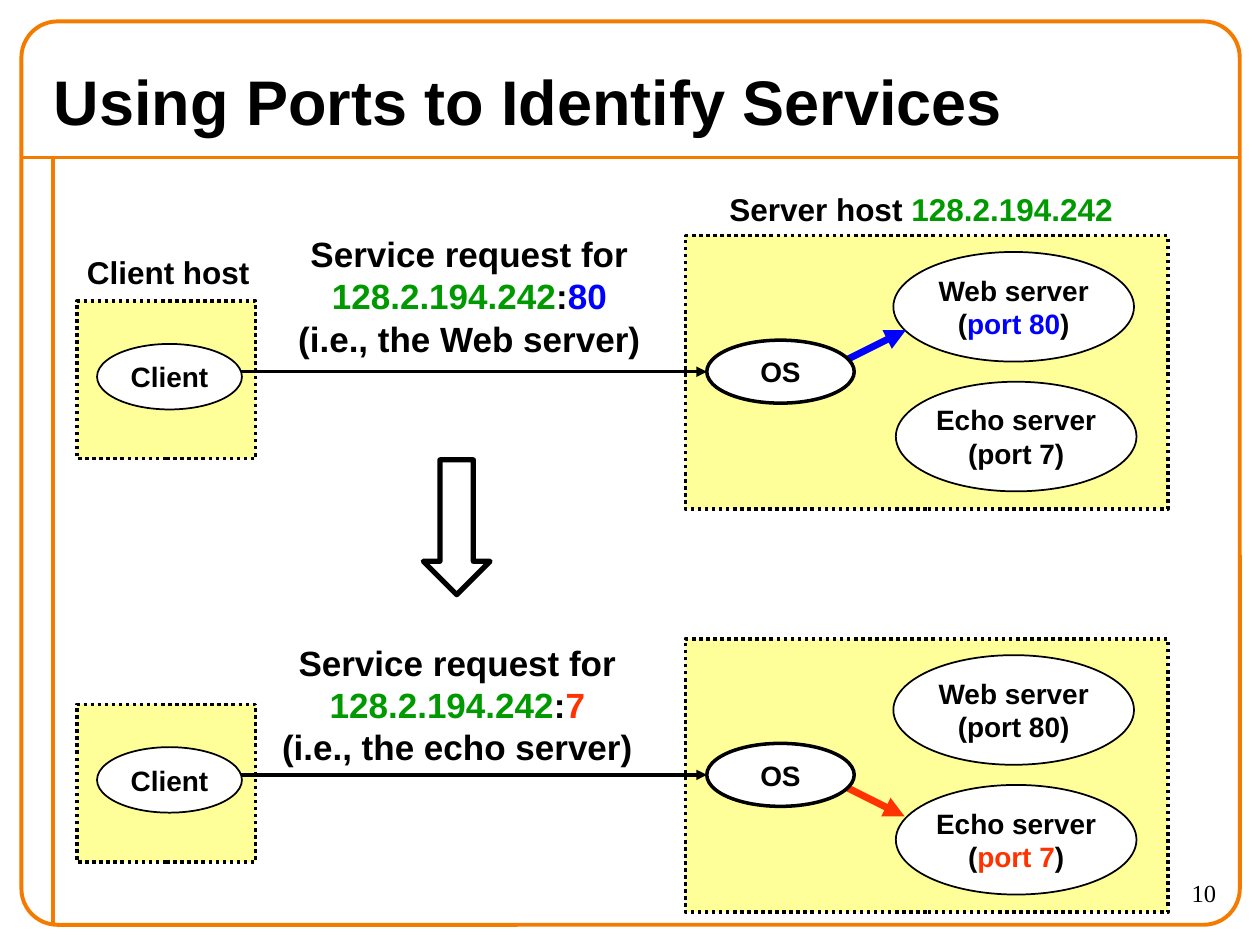
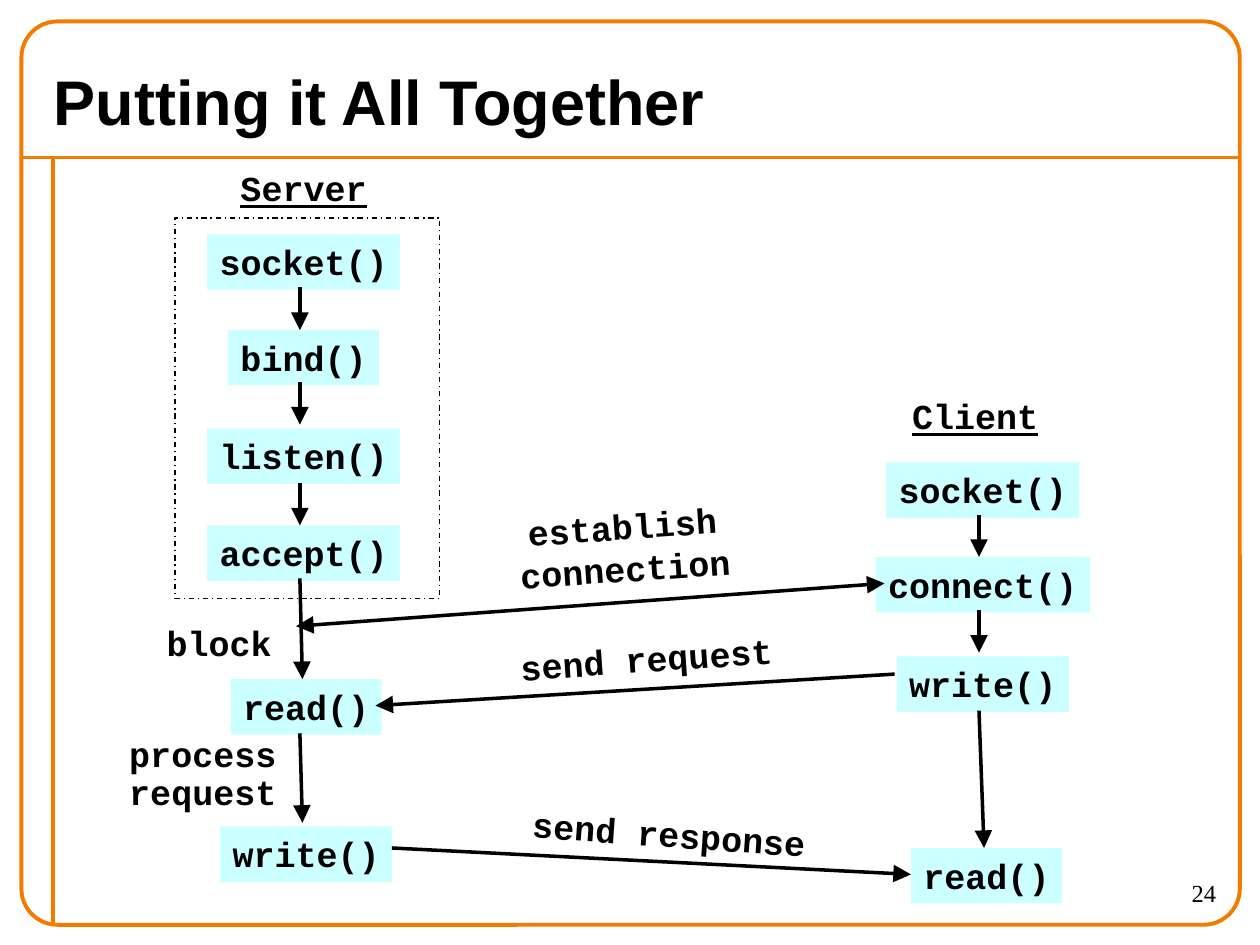
import pptx
import pptx.util
import pptx.dml.color
import pptx.enum.dml
import pptx.enum.shapes
import pptx.enum.text
import pptx.oxml.ns
from lxml import etree

Inches = pptx.util.Inches
SHAPES = pptx.enum.shapes.MSO_SHAPE
DASHES = pptx.enum.dml.MSO_LINE
ALIGN = pptx.enum.text.PP_ALIGN
ANCHOR = pptx.enum.text.MSO_ANCHOR

# Shared look
BLACK, WHITE, ORANGE = "000000", "FFFFFF", "F47A00"
GREEN, BLUE, RED = "009900", "0000FF", "FF3300"
HOST_FILL, CALL_FILL = "FFFF99", "CCFFFF"
TITLE = {"name": "Arial", "size": 36, "bold": True}
NUMBER = {"name": "Times New Roman", "size": 14}
HOST_LABEL = {"name": "Arial", "size": 18, "bold": True}
REQUEST = {"name": "Arial", "size": 20, "bold": True}
PROCESS = {"name": "Arial", "size": 16, "bold": True}
CODE = {"name": "Courier New", "size": 20, "bold": True}
HEADING = {**CODE, "underline": True}

# Slide 1: two requests, the second one a fixed step lower.
# Text is a list of paragraphs; a paragraph is a string or (text, colour) runs.
ADDRESS = "128.2.194.242"
SCENARIO_STEP = 3.2
SCENARIOS = [
    {
        "request": ["Service request for",
                    [(ADDRESS, GREEN), (":", BLACK), ("80", BLUE)],
                    "(i.e., the Web server)"],
        "request_at": (2.12, 1.8, 3.21, 1.1),
        "web": ["Web server", [("(", BLACK), ("port 80", BLUE), (")", BLACK)]],
        "echo": ["Echo server", "(port 7)"],
        "dispatch": ((6.69, 2.87), (7.19, 2.62), BLUE),
    },
    {
        "request": ["Service request for",
                    [(ADDRESS, GREEN), (":", BLACK), ("7", RED)],
                    "(i.e., the echo server)"],
        "request_at": (2.14, 5.04, 2.98, 1.1),
        "web": ["Web server", "(port 80)"],
        "echo": ["Echo server", [("(", BLACK), ("port 7", RED), (")", BLACK)]],
        "dispatch": ((6.68, 6.23), (7.18, 6.48), RED),
    },
]

# Slide 2: calls as (name, centre x, top)
CALLS = [
    ("socket()", 2.41, 1.86), ("bind()", 2.41, 2.62), ("listen()", 2.41, 3.4),
    ("accept()", 2.41, 4.17), ("read()", 2.43, 5.39), ("write()", 2.43, 6.56),
    ("socket()", 7.8, 3.67), ("connect()", 7.8, 4.42), ("write()", 7.8, 5.21),
    ("read()", 7.83, 6.73),
]
# Labels as (lines, centre x, top, height, rotation, line spacing, font)
LABELS = [
    (["Server"], 2.41, 1.27, 0.44, 0, 1, HEADING),
    (["Client"], 7.74, 3.08, 0.44, 0, 1, HEADING),
    (["block"], 1.74, 4.88, 0.44, 0, 1, CODE),
    (["process", "request"], 1.61, 5.8, 0.7, 0, 0.9, CODE),
    (["establish", "connection"], 4.95, 3.96, 0.77, -4, 1, CODE),
    (["send request"], 5.13, 5.01, 0.44, -4, 1, CODE),
    (["send response"], 5.31, 6.4, 0.44, 4.1, 1, CODE),
]
STEPS = [
    ((2.38, 2.28), (2.38, 2.62)), ((2.38, 3.03), (2.38, 3.37)),
    ((2.38, 3.83), (2.38, 4.17)), ((2.38, 4.59), (2.4, 5.39)),
    ((2.38, 5.82), (2.4, 6.53)), ((7.77, 4.09), (7.77, 4.42)),
    ((7.77, 4.84), (7.77, 5.18)), ((7.77, 5.64), (7.81, 6.73)),
]
REQUEST_ARROW = ((7.1, 5.35), (2.98, 5.6))
RESPONSE_ARROW = ((3.11, 6.73), (7.23, 6.94))
CONNECTION_ARROW = ((7.02, 4.63), (2.35, 4.97))


def colour(hex_value):
    return pptx.dml.color.RGBColor.from_string(hex_value)


def write_text(shape, paragraphs, font, align=ALIGN.CENTER,
               anchor=ANCHOR.TOP, wrap=False, spacing=1):
    frame = shape.text_frame
    frame.word_wrap = wrap
    frame.vertical_anchor = anchor
    if not wrap:
        # Centred lines get the full width, so none of them breaks
        frame.margin_left = frame.margin_right = 0
    for index, content in enumerate(paragraphs):
        paragraph = frame.paragraphs[0] if index == 0 else frame.add_paragraph()
        paragraph.alignment = align
        paragraph.line_spacing = spacing
        runs = [(content, BLACK)] if isinstance(content, str) else content
        for text, run_colour in runs:
            run = paragraph.add_run()
            run.text = text
            run.font.color.rgb = colour(run_colour)
            for name, value in font.items():
                setattr(run.font, name, pptx.util.Pt(value) if name == "size" else value)


def add_text(slide, box, paragraphs, font, **layout):
    shape = slide.shapes.add_textbox(*map(Inches, box))
    write_text(shape, paragraphs, font, **layout)
    return shape


def add_box(slide, kind, box, fill=None, line=None, width=1, dash=None):
    shape = slide.shapes.add_shape(kind, *map(Inches, box))
    shape.shadow.inherit = False
    if fill:
        shape.fill.solid()
        shape.fill.fore_color.rgb = colour(fill)
    else:
        shape.fill.background()
    if line:
        shape.line.color.rgb = colour(line)
        shape.line.width = pptx.util.Pt(width)
        if dash:
            shape.line.dash_style = dash
    else:
        shape.line.fill.background()
    return shape


def add_line(slide, start, end, line=BLACK, width=2, ends=(), head_size="med"):
    connector = slide.shapes.add_connector(
        pptx.enum.shapes.MSO_CONNECTOR.STRAIGHT, *map(Inches, (*start, *end)))
    connector.line.color.rgb = colour(line)
    connector.line.width = pptx.util.Pt(width)
    outline = connector.line._get_or_add_ln()
    for end_name in ends:
        etree.SubElement(outline, pptx.oxml.ns.qn("a:" + end_name),
                         type="triangle", w=head_size, len=head_size)
    etree.SubElement(connector._element.spPr, pptx.oxml.ns.qn("a:effectLst"))


def add_ellipse(slide, box, paragraphs, width=1):
    ellipse = add_box(slide, SHAPES.OVAL, box, WHITE, BLACK, width)
    write_text(ellipse, paragraphs, PROCESS, anchor=ANCHOR.MIDDLE)


def add_framed_slide(presentation, title, number):
    slide = presentation.slides.add_slide(presentation.slide_layouts[6])
    add_line(slide, (0.17, 1.25), (9.83, 1.25), ORANGE, 2.25)
    add_line(slide, (0.42, 1.25), (0.42, 7.33), ORANGE, 2.25)
    border = add_box(slide, SHAPES.ROUNDED_RECTANGLE, (0.17, 0.17, 9.67, 7.17),
                     line=ORANGE, width=2.25)
    border.adjustments[0] = 0.04
    add_text(slide, (8.75, 6.92, 1, 0.42), [number], NUMBER,
             align=ALIGN.RIGHT, wrap=True)
    add_text(slide, (0.33, 0.42, 8.82, 0.75), [title], TITLE,
             align=ALIGN.LEFT, anchor=ANCHOR.MIDDLE, wrap=True)
    return slide


def build_ports_slide(presentation):
    slide = add_framed_slide(presentation, "Using Ports to Identify Services", "10")
    add_text(slide, (0.59, 1.96, 1.49, 0.4), ["Client host"], HOST_LABEL)
    add_text(slide, (5.69, 1.46, 3.24, 0.4),
             [[("Server host ", BLACK), (ADDRESS, GREEN)]], HOST_LABEL)
    for index, scenario in enumerate(SCENARIOS):
        shift = index * SCENARIO_STEP
        # Hosts and server processes
        for left, top, width, height in ((0.61, 2.39, 1.42, 1.25),
                                         (5.44, 1.87, 3.83, 2.17)):
            add_box(slide, SHAPES.RECTANGLE, (left, top + shift, width, height),
                    HOST_FILL, BLACK, 2, DASHES.ROUND_DOT)
        add_ellipse(slide, (7.09, 2 + shift, 1.91, 0.87), scenario["web"])
        add_ellipse(slide, (7.11, 3.03 + shift, 1.91, 0.87), scenario["echo"])
        # Request and its dispatch
        add_text(slide, scenario["request_at"], scenario["request"], REQUEST)
        add_line(slide, (1.86, 2.95 + shift), (5.61, 2.95 + shift), ends=["tailEnd"])
        add_line(slide, *scenario["dispatch"], width=4, ends=["tailEnd"])
        add_ellipse(slide, (5.61, 2.7 + shift, 1.17, 0.5), ["OS"], 2)
        add_ellipse(slide, (0.77, 2.73 + shift, 1.15, 0.52), ["Client"])
    add_box(slide, SHAPES.DOWN_ARROW, (3.36, 3.65, 0.53, 1.07), line=BLACK, width=3)


def code_box(lines, centre, top, height=0.44):
    """Fit a box to its longest line: six characters to the inch plus a rim."""
    width = max(map(len, lines)) / 6 + 0.2
    return centre - width / 2, top, width, height


def build_calls_slide(presentation):
    slide = add_framed_slide(presentation, "Putting it All Together", "24")
    # Calls and labels
    for name, centre, top in CALLS:
        call = add_box(slide, SHAPES.RECTANGLE, code_box([name], centre, top), CALL_FILL)
        write_text(call, [name], CODE)
    add_box(slide, SHAPES.RECTANGLE, (1.39, 1.73, 2.1, 3.02),
            line=BLACK, width=0.75, dash=DASHES.DASH_DOT)
    for lines, centre, top, height, rotation, spacing, font in LABELS:
        label = add_text(slide, code_box(lines, centre, top, height), lines, font,
                         spacing=spacing)
        label.rotation = rotation
    # Arrows
    for start, end in [*STEPS, REQUEST_ARROW, RESPONSE_ARROW]:
        add_line(slide, start, end, ends=["tailEnd"], head_size="lg")
    add_line(slide, *CONNECTION_ARROW, ends=["headEnd", "tailEnd"], head_size="lg")


def main():
    presentation = pptx.Presentation()
    presentation.slide_width = Inches(10)
    presentation.slide_height = Inches(7.5)
    build_ports_slide(presentation)
    build_calls_slide(presentation)
    presentation.save("out.pptx")


if __name__ == "__main__":
    main()
